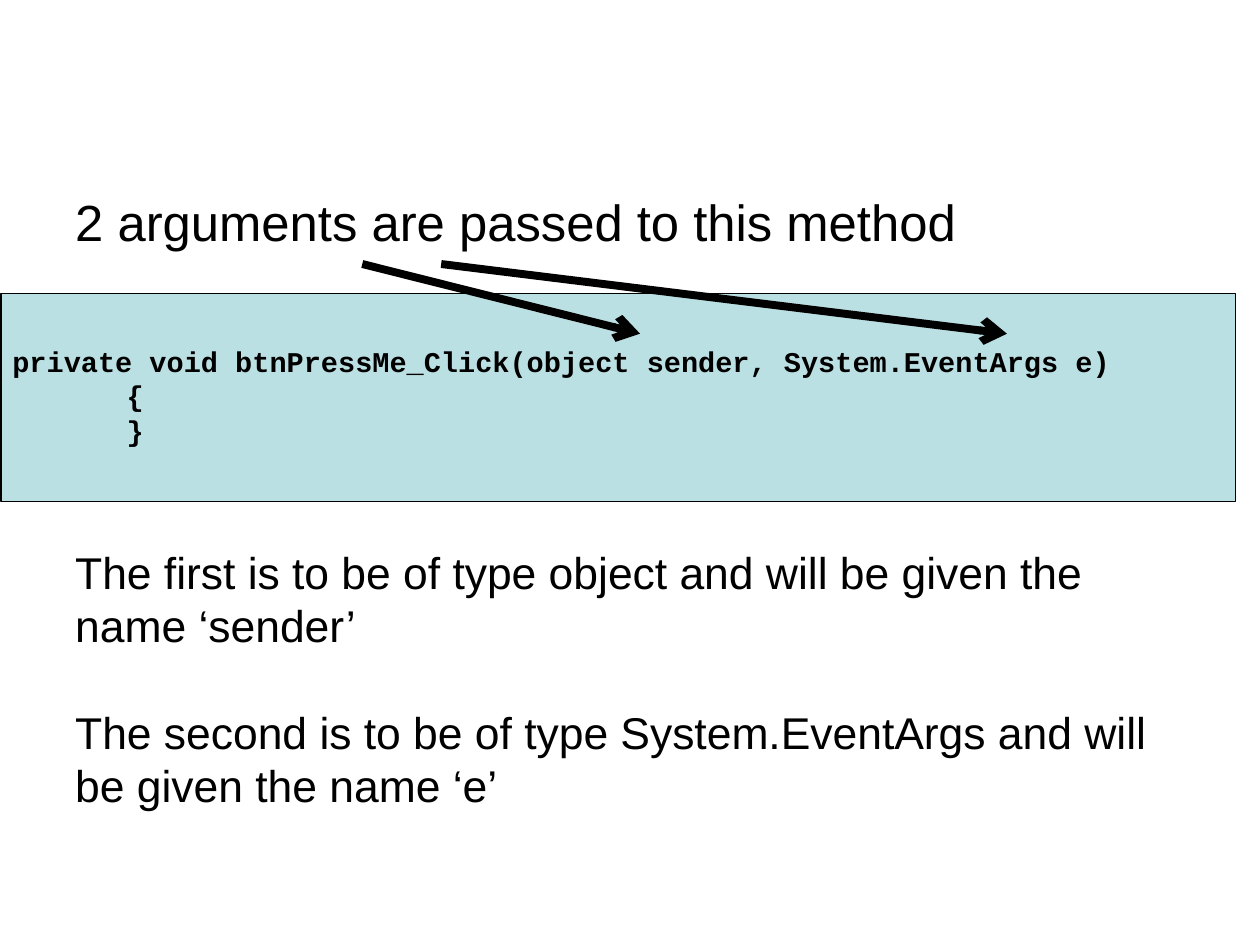
from pptx import Presentation
from pptx.dml.color import RGBColor
from pptx.enum.shapes import MSO_CONNECTOR, MSO_SHAPE
from pptx.enum.text import MSO_ANCHOR, PP_ALIGN
from pptx.oxml.ns import qn
from pptx.util import Inches, Pt
from lxml import etree

BLACK = RGBColor(0, 0, 0)
AQUA = RGBColor(0xBB, 0xE0, 0xE3)
RECT = MSO_SHAPE.RECTANGLE
LINE = MSO_CONNECTOR.STRAIGHT
LEFT = PP_ALIGN.LEFT
TOP = MSO_ANCHOR.TOP


def write(frame, lines, font, size, bold=False, gap=0):
    """Fill a frame with one paragraph per line, gap points apart."""
    frame.vertical_anchor = TOP
    for i, line in enumerate(lines):
        para = frame.paragraphs[0] if i == 0 else frame.add_paragraph()
        para.alignment = LEFT
        para.line_spacing = Pt(1.2 * size)
        para.space_before = Pt(gap if i else 0)
        run = para.add_run()
        run.text = line
        run.font.name = font
        run.font.size = Pt(size)
        run.font.bold = bold
        run.font.color.rgb = BLACK


# The page is 28 by 21 cm
deck = Presentation()
deck.slide_width = Inches(28 / 2.54)
deck.slide_height = Inches(21 / 2.54)
slide = deck.slides.add_slide(deck.slide_layouts[6])
shapes = slide.shapes

# Heading and explanation
heading = ["2 arguments are passed to this method"]
notes = [
    "The first is to be of type object and will be given the name ‘sender’",
    "The second is to be of type System.EventArgs and will be given the name ‘e’",
]
for top, height, lines, size in [(1.62, 1.94, heading, 32), (4.72, 3.4, notes, 28)]:
    box = shapes.add_textbox(Inches(0.56), Inches(top), Inches(9.9), Inches(height))
    box.text_frame.word_wrap = True
    write(box.text_frame, lines, "Arial", size, gap=1.2 * size)

# Code panel
panel = shapes.add_shape(RECT, Inches(0.01), Inches(2.57), Inches(10.8), Inches(1.82))
panel.shadow.inherit = False
panel.fill.solid()
panel.fill.fore_color.rgb = AQUA
panel.line.color.rgb = BLACK
panel.line.width = Pt(0.75)
frame = panel.text_frame
frame.word_wrap = False
frame.margin_top = Inches(0.44)
code = ["private void btnPressMe_Click(object sender, System.EventArgs e)", "{", "}"]
write(frame, code, "Courier New", 18, bold=True)
for brace in frame.paragraphs[1:]:
    brace._p.get_or_add_pPr().set("marL", str(Inches(1)))

# Arrows from the heading to the two arguments
for start, end in [(3.17, 5.6), (3.86, 8.81)]:
    arrow = shapes.add_connector(LINE, Inches(start), Inches(2.31), Inches(end), Inches(2.92))
    arrow.line.color.rgb = BLACK
    arrow.line.width = Pt(5)
    props = arrow._element.spPr
    etree.SubElement(props.find(qn("a:ln")), qn("a:tailEnd"), type="arrow")
    etree.SubElement(props, qn("a:effectLst"))

deck.save("out.pptx")
